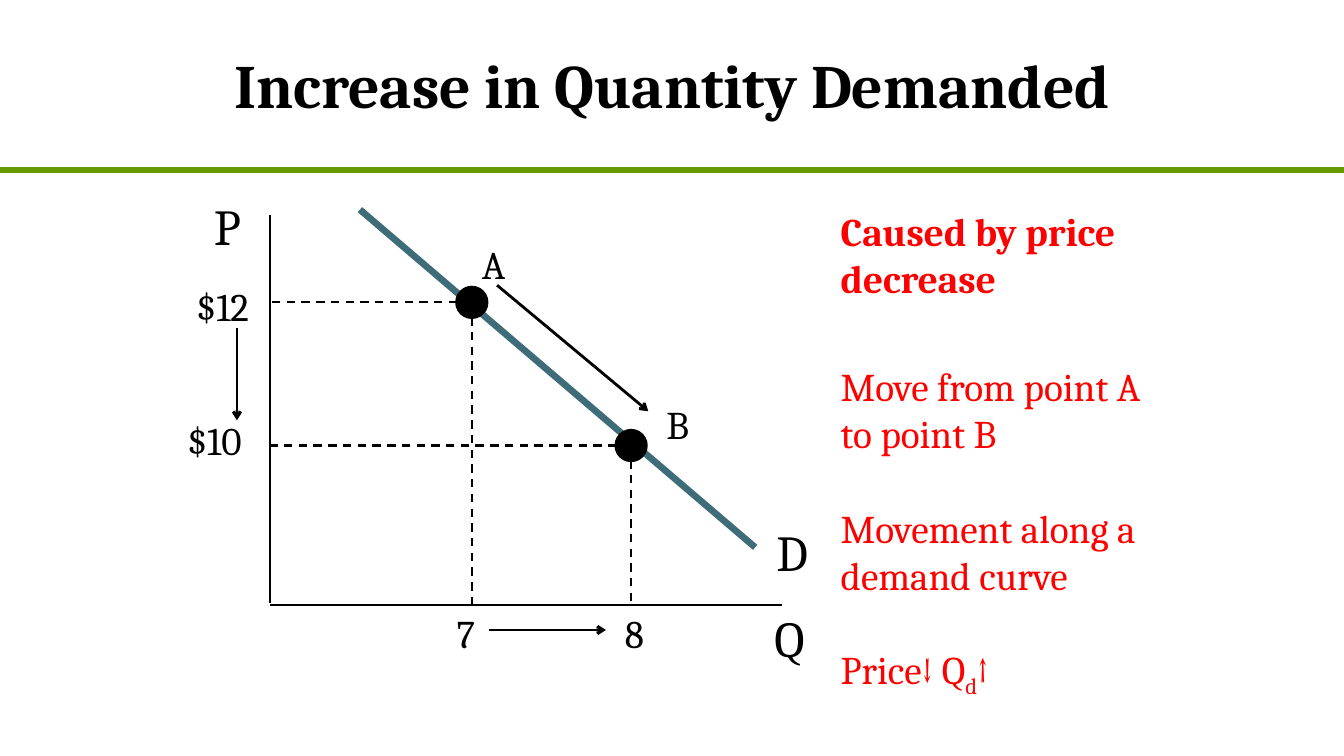
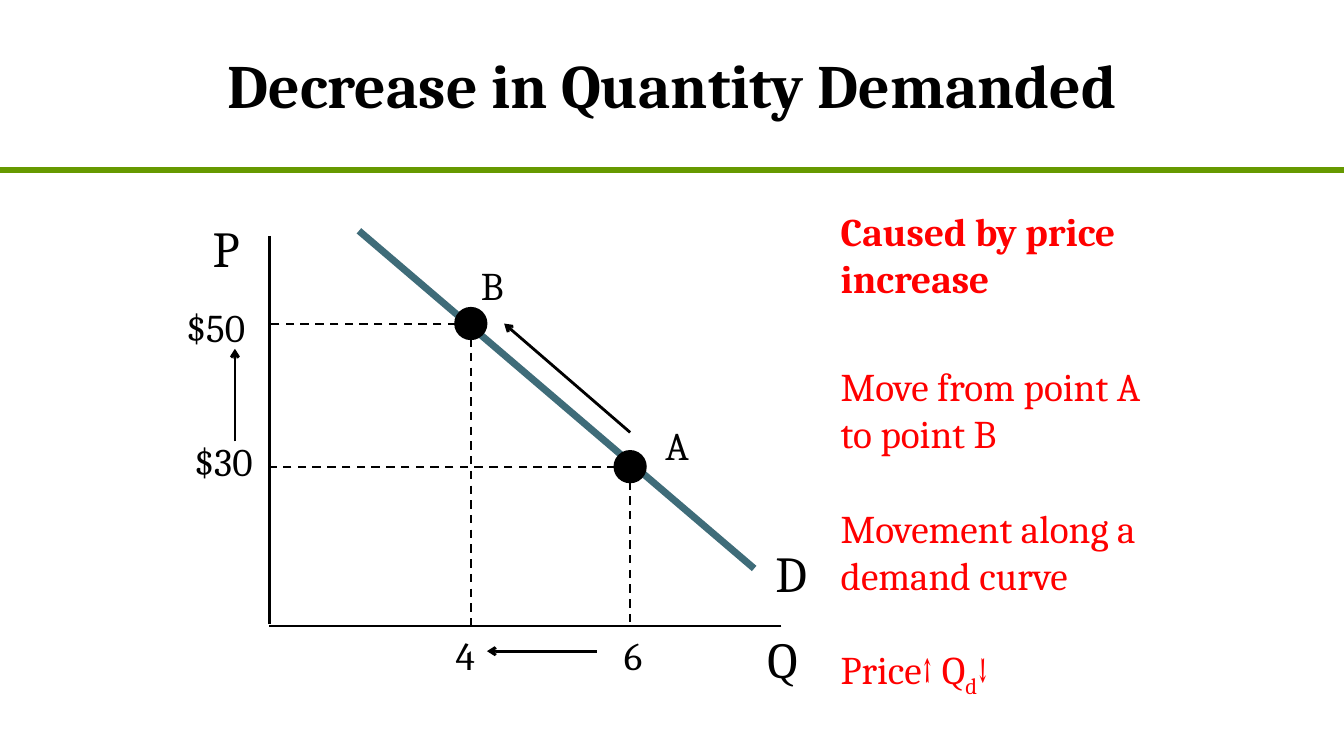
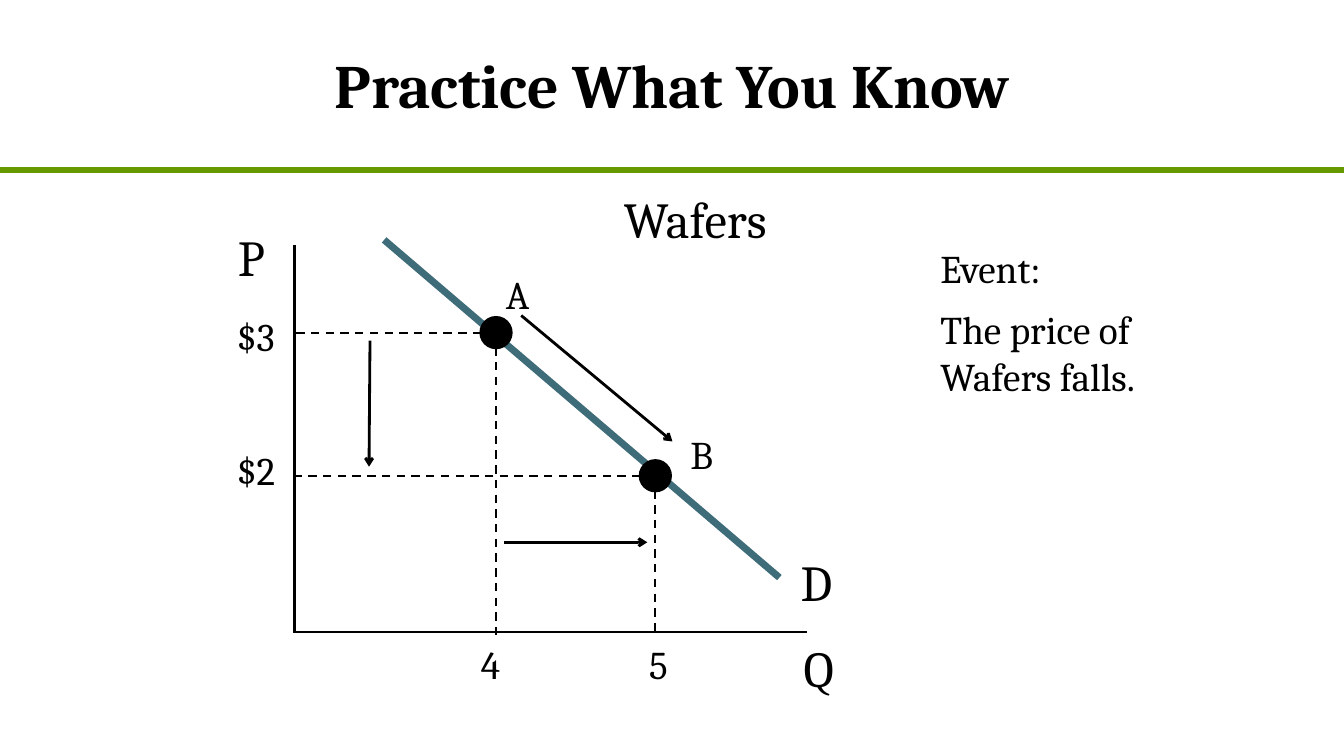
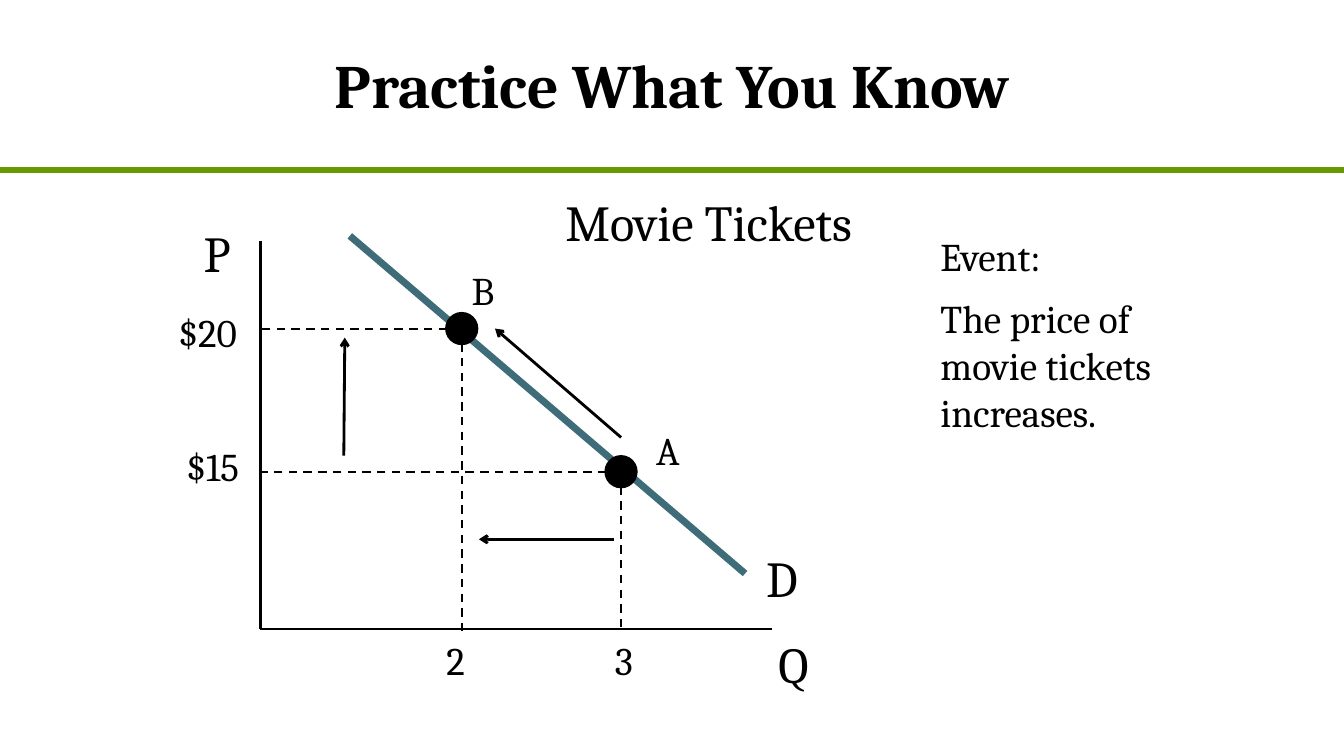
from pptx import Presentation
from pptx.dml.color import RGBColor
from pptx.enum.dml import MSO_LINE
from pptx.enum.shapes import MSO_CONNECTOR, MSO_SHAPE
from pptx.enum.text import MSO_ANCHOR, PP_ALIGN
from pptx.oxml.ns import qn
from pptx.util import Inches, Pt
from lxml import etree

FONT = "Cambria"
BLACK, RED, GREEN, TEAL = "000000", "FF0000", "669900", "3F6C79"


def color(hex_value):
    return RGBColor.from_string(hex_value)


def add_line(slide, start, end, width, hex_value=BLACK, dashed=False, arrow=False):
    x1, y1, x2, y2 = (Inches(value) for value in (*start, *end))
    line = slide.shapes.add_connector(MSO_CONNECTOR.STRAIGHT, x1, y1, x2, y2)
    line.line.width = Pt(width)
    line.line.color.rgb = color(hex_value)
    if dashed:
        line.line.dash_style = MSO_LINE.DASH
    if arrow:
        etree.SubElement(line.line._get_or_add_ln(), qn("a:tailEnd"), type="arrow")
    etree.SubElement(line._element.spPr, qn("a:effectLst"))


def add_text(slide, box, paragraphs, size=28, hex_value=BLACK, inset=(0.1, 0.05)):
    """Each paragraph is (text, space after); the frame is returned for styling."""
    shape = slide.shapes.add_textbox(*(Inches(value) for value in box))
    frame = shape.text_frame
    frame.word_wrap = True
    frame.margin_left = frame.margin_right = Inches(inset[0])
    frame.margin_top = frame.margin_bottom = Inches(inset[1])
    for index, (text, space) in enumerate(paragraphs):
        paragraph = frame.add_paragraph() if index else frame.paragraphs[0]
        paragraph.text = text
        paragraph.space_after = Pt(space)
        paragraph.font.name = FONT
        paragraph.font.size = Pt(size)
        paragraph.font.color.rgb = color(hex_value)
    return frame


# Content; graph positions are relative to the axis at the upper price
slides = [
    dict(title="Increase in Quantity Demanded", origin=(2.68, 3.0), falling=True,
         prices=[("$12", -0.83), ("$10", -0.92)], quantities="78",
         base=3.0, q_left=4.95, axis_width=1.5, curve_width=4.75,
         price_arrow=((-0.33, 0.25), (-0.33, 1.17)),
         quantity_arrow=((2.17, 3.25), (3.33, 3.25)),
         cause="decrease", effect="↓↑", notes_width=3.24),
    dict(title="Decrease in Quantity Demanded", origin=(2.67, 3.21), falling=False,
         prices=[("$50", -0.92), ("$30", -0.84)], quantities="46",
         base=3.0, q_left=4.89, axis_width=2, curve_width=5,
         price_arrow=((-0.34, 1.17), (-0.34, 0.25)),
         quantity_arrow=((3.25, 3.25), (2.16, 3.25)),
         cause="increase", effect="↑↓", notes_width=3.35),
    dict(title="Practice What You Know", origin=(2.92, 3.3), falling=True,
         prices=[("$3", -0.67), ("$2", -0.67)], quantities="45",
         base=2.97, q_left=5.0, axis_width=2, curve_width=5,
         price_arrow=((0.75, 0.08), (0.74, 1.33)),
         quantity_arrow=((2.08, 2.08), (3.5, 2.08)),
         product="Wafers", product_box=(6.09, 1.82, 2.44, 0.59),
         event="The price of Wafers falls.", event_box=(9.23, 2.37, 2.44, 1.92)),
    dict(title="Practice What You Know", origin=(2.58, 3.26), falling=False,
         prices=[("$20", -0.91), ("$15", -0.83)], quantities="23",
         base=2.98, q_left=5.09, axis_width=2, curve_width=5,
         price_arrow=((0.83, 1.26), (0.84, 0.09)),
         quantity_arrow=((3.51, 2.09), (2.17, 2.09)),
         product="Movie Tickets", product_box=(5.51, 1.85, 3.58, 0.59),
         event="The price of movie tickets increases.", event_box=(9.23, 2.26, 2.44, 2.42)),
]
POINTS = [(2.0, 0), (3.58, 1.42)]
DOT = 0.33

presentation = Presentation()
presentation.slide_width = Inches(13.33)
presentation.slide_height = Inches(7.5)

for content in slides:
    slide = presentation.slides.add_slide(presentation.slide_layouts[6])
    left, top = content["origin"]

    # Title and rule
    add_line(slide, (0, 1.69), (13.33, 1.69), 4.5, GREEN)
    frame = add_text(slide, (1.82, 0, 9.7, 1.67), [(content["title"], 0)], 44)
    frame.vertical_anchor = MSO_ANCHOR.MIDDLE
    frame.paragraphs[0].alignment = PP_ALIGN.CENTER
    frame.paragraphs[0].font.bold = True

    # Axes, demand curve and movement arrows
    movement = ((2.25, -0.17), (3.75, 1.08)) if content["falling"] else ((3.58, 1.08), (2.33, 0))
    base = content["base"]
    for (start, end), width, hex_value, arrow in [
        (((0, -0.87), (0, 2.98)), content["axis_width"], BLACK, False),
        (((5.08, base), (0, base)), 1.5, BLACK, False),
        (((0.89, -0.92), (4.81, 2.43)), content["curve_width"], TEAL, False),
        (movement, 2, BLACK, True),
        (content["price_arrow"], 2, BLACK, True),
        (content["quantity_arrow"], 2, BLACK, True),
    ]:
        add_line(slide, (left + start[0], top + start[1]), (left + end[0], top + end[1]),
                 width, hex_value, arrow=arrow)

    # Axis and curve names
    for name, x, y, width, height in [("P", -0.61, -1.08, 0.61, 0.44),
                                      ("Q", content["q_left"], 3, 0.61, 0.44),
                                      ("D", 4.97, 2.15, 1, 0.69)]:
        add_text(slide, (left + x, top + y, width, height), [(name, 10)], 36, inset=(0.05, 0.02))

    # Points with guides and labels
    names = "AB" if content["falling"] else "BA"
    for (x, y), name, (price, price_x), quantity, name_x, name_y, price_y, quantity_x in zip(
            POINTS, names, content["prices"], content["quantities"],
            (2.0, 3.83), (-0.67, 0.92), (-0.25, 1.08), (1.75, 3.42)):
        center = (left + x, top + y)
        add_line(slide, center, (left, top + y), 1.5, dashed=True)
        add_line(slide, center, (left + x, top + 3), 1.5, dashed=True)
        dot = slide.shapes.add_shape(MSO_SHAPE.OVAL, Inches(center[0] - DOT / 2),
                                     Inches(center[1] - DOT / 2), Inches(DOT), Inches(DOT))
        dot.shadow.inherit = False
        dot.fill.solid()
        dot.fill.fore_color.rgb = color(BLACK)
        dot.line.fill.background()
        for text, text_x, text_y, width in [(name, name_x, name_y, 0.58),
                                            (price, price_x, price_y, 0.95),
                                            (quantity, quantity_x, 3, 0.75)]:
            add_text(slide, (left + text_x, top + text_y, width, 0.58), [(text, 10)])

    # Explanation or practice event
    if "cause" in content:
        price_sign, quantity_sign = content["effect"]
        frame = add_text(slide, (8.24, 2.01, content["notes_width"], 5.01), [
            ("Caused by price " + content["cause"], 43.6),
            ("Move from point A to point B", 33.6),
            ("Movement along a demand curve", 33.6),
            (f"Price{price_sign} Q", 0),
        ], hex_value=RED)
        frame.paragraphs[0].font.bold = True
        subscript = frame.paragraphs[-1].add_run()
        subscript.text = "d"
        subscript.font._element.set("baseline", "-25000")
        frame.paragraphs[-1].add_run().text = quantity_sign
    else:
        add_text(slide, content["product_box"], [(content["product"], 10)], 36)
        add_text(slide, content["event_box"], [("Event:", 10), (content["event"], 10)])

presentation.save("out.pptx")
